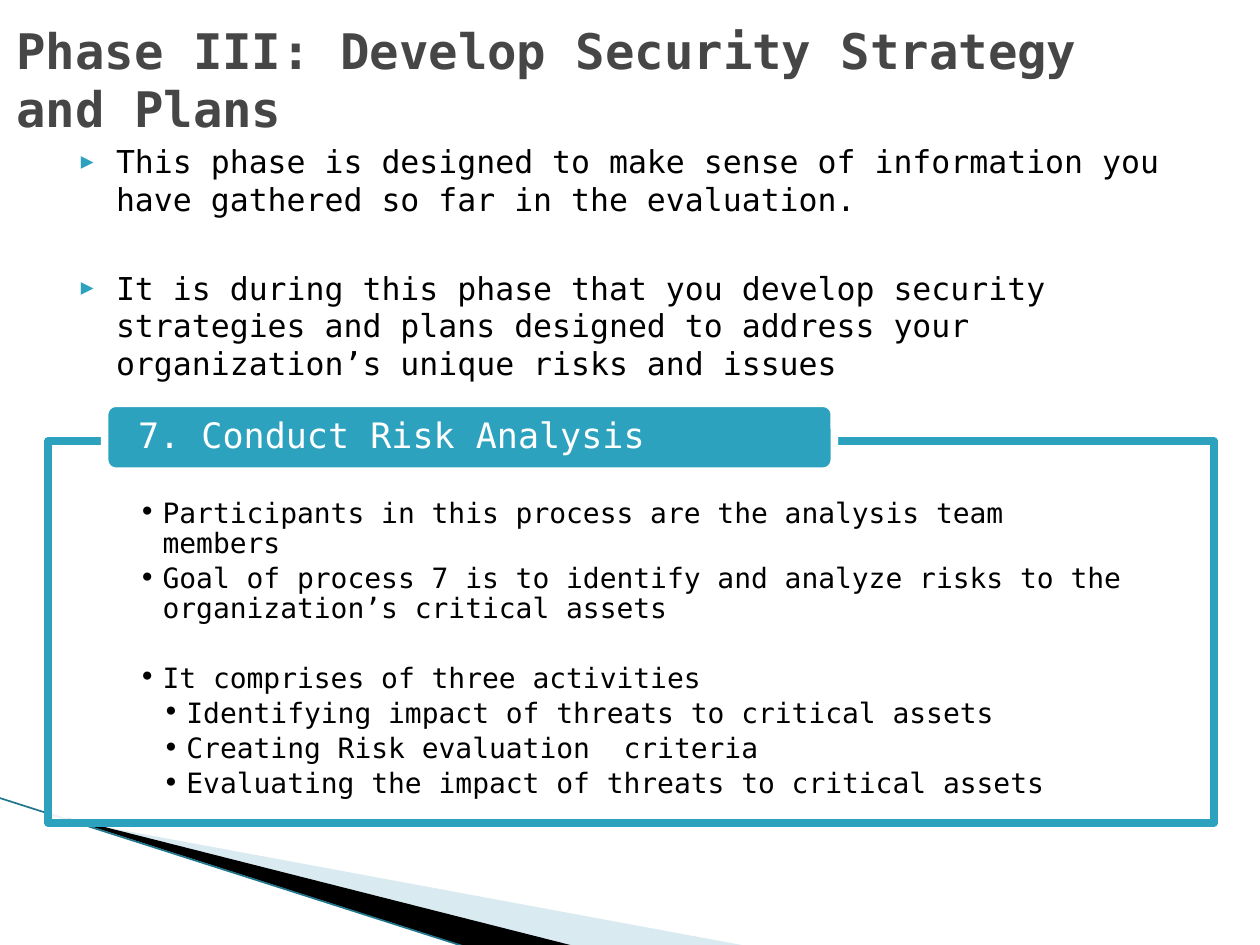
from dataclasses import dataclass, field

import pptx
import pptx.dml.color
import pptx.enum.shapes
import pptx.enum.text
import pptx.oxml.ns
import pptx.util
from lxml import etree

Cm = pptx.util.Cm
Pt = pptx.util.Pt
ANCHOR = pptx.enum.text.MSO_ANCHOR
SHAPE = pptx.enum.shapes.MSO_SHAPE


@dataclass(frozen=True)
class Theme:
    font: str = "DejaVu Sans Mono"
    accent: str = "2DA2BF"
    edge: str = "1F768C"
    pale: str = "A0CBDC"
    heading: str = "464646"
    black: str = "000000"
    white: str = "FFFFFF"
    title_size: float = 28
    label_size: float = 20
    body_size: float = 18
    detail_size: float = 16
    border: float = 4.33


THEME = Theme()


@dataclass(frozen=True)
class Frame:
    left: float
    top: float
    width: float
    height: float

    def lengths(self) -> list:
        return [Cm(n) for n in (self.left, self.top, self.width, self.height)]


@dataclass(frozen=True)
class Bullet:
    mark: str
    indent: float
    hang: float
    color: str = THEME.black
    percent: int = 100


@dataclass(frozen=True)
class Item:
    text: str
    bullet: Bullet | None = None
    spacing: dict = field(default_factory=dict)


@dataclass(frozen=True)
class Wedge:
    points: tuple
    color: str
    opacity: int = 100


ARROW = Bullet("▶", 1.02, 0.71, THEME.accent, 68)
DOT = Bullet("•", 0.48, 0.48)
SUB_DOT = Bullet("•", 0.96, 0.48)
TIGHT = {"line_spacing": 0.9, "space_after": Pt(2.8)}
SECTION_END = TIGHT | {"space_after": Pt(22.4)}

TITLE = [Item("Phase III: Develop Security Strategy and Plans")]
SUMMARY = [
    Item("This phase is designed to make sense of information you have gathered "
         "so far in the evaluation.", ARROW, {"space_before": Pt(4)}),
    Item("It is during this phase that you develop security strategies and plans "
         "designed to address your organization’s unique risks and issues",
         ARROW, {"space_before": Pt(29)}),
]
LABEL = [Item("7. Conduct Risk Analysis", None, {"line_spacing": 0.9})]
DETAILS = [
    Item("Participants in this process are the analysis team members", DOT, TIGHT),
    Item("Goal of process 7 is to identify and analyze risks to the "
         "organization’s critical assets", DOT, SECTION_END),
    Item("It comprises of three activities", DOT, TIGHT),
    Item("Identifying impact of threats to critical assets", SUB_DOT, TIGHT),
    Item("Creating Risk evaluation  criteria", SUB_DOT, TIGHT),
    Item("Evaluating the impact of threats to critical assets", SUB_DOT, TIGHT),
]
WEDGES = [
    Wedge(((1.4, 16.54), (15.11, 19.08), (11.58, 19.08)), THEME.pale, 40),
    Wedge(((1.35, 16.48), (11.61, 19.08), (9.45, 19.1), (1.37, 16.51)), THEME.black),
]


def rgb(color: str) -> pptx.dml.color.RGBColor:
    return pptx.dml.color.RGBColor.from_string(color)


def set_values(target, values: dict) -> None:
    for name, value in values.items():
        setattr(target, name, value)


def add_child(parent, tag: str, **attributes: str):
    return etree.SubElement(parent, pptx.oxml.ns.qn(tag), attributes)


def set_fill(shape, color: str, opacity: int = 100) -> None:
    """Fill a shape with one colour; opacity is a percentage."""
    shape.shadow.inherit = False
    shape.fill.solid()
    shape.fill.fore_color.rgb = rgb(color)
    if opacity < 100:
        value = shape.fill._xPr.find(".//" + pptx.oxml.ns.qn("a:srgbClr"))
        add_child(value, "a:alpha", val=str(opacity * 1000))


def set_bullet(para, bullet: Bullet) -> None:
    properties = para._p.get_or_add_pPr()
    properties.set("marL", str(Cm(bullet.indent)))
    properties.set("indent", str(-Cm(bullet.hang)))
    add_child(add_child(properties, "a:buClr"), "a:srgbClr", val=bullet.color)
    add_child(properties, "a:buSzPct", val=str(bullet.percent * 1000))
    add_child(properties, "a:buFont", typeface=THEME.font)
    add_child(properties, "a:buChar", char=bullet.mark)


def write_items(box, items: list[Item], size: float, color: str, bold: bool = False,
                anchor=ANCHOR.TOP, margins: tuple = (0.25, 0.13, 0.25, 0.13)) -> None:
    """Write one paragraph per item; margins run left, top, right, bottom."""
    frame = box.text_frame
    sides = ("margin_left", "margin_top", "margin_right", "margin_bottom")
    set_values(frame, {"word_wrap": True, "vertical_anchor": anchor}
               | {side: Cm(margin) for side, margin in zip(sides, margins)})
    for index, item in enumerate(items):
        para = frame.add_paragraph() if index else frame.paragraphs[0]
        set_values(para, {"alignment": pptx.enum.text.PP_ALIGN.LEFT} | item.spacing)
        if item.bullet:
            set_bullet(para, item.bullet)
        span = para.add_run()
        span.text = item.text
        set_values(span.font, {"name": THEME.font, "size": Pt(size), "bold": bold})
        span.font.color.rgb = rgb(color)


def add_wedge(page, wedge: Wedge) -> None:
    points = [(Cm(x), Cm(y)) for x, y in wedge.points]
    builder = page.shapes.build_freeform(*points[0])
    builder.add_line_segments(points[1:], close=True)
    shape = builder.convert_to_shape()
    set_fill(shape, wedge.color, wedge.opacity)
    shape.line.fill.background()


def add_edge(page) -> None:
    ends = [Cm(n) for n in (-0.03, 16.08, 9.42, 19.1)]
    edge = page.shapes.add_connector(pptx.enum.shapes.MSO_CONNECTOR.STRAIGHT, *ends)
    edge.line.color.rgb = rgb(THEME.edge)
    edge.line.width = Pt(0.95)
    add_child(edge._element.spPr, "a:effectLst")


def add_panel(page, kind, frame: Frame, fill: str, border: str, opacity: int = 100):
    panel = page.shapes.add_shape(kind, *frame.lengths())
    set_fill(panel, fill, opacity)
    panel.line.color.rgb = rgb(border)
    panel.line.width = Pt(THEME.border)
    return panel


def main() -> None:
    deck = pptx.Presentation()
    set_values(deck, {"slide_width": Cm(25.4), "slide_height": Cm(19.05)})
    page = deck.slides.add_slide(deck.slide_layouts[6])

    for wedge in WEDGES:
        add_wedge(page, wedge)
    add_edge(page)

    summary = page.shapes.add_textbox(*Frame(1.07, 2.74, 22.86, 12.57).lengths())
    write_items(summary, SUMMARY, THEME.body_size, THEME.black)
    title = page.shapes.add_textbox(*Frame(0.08, 0, 22.86, 3.18).lengths())
    write_items(title, TITLE, THEME.title_size, THEME.heading, bold=True,
                anchor=ANCHOR.MIDDLE)

    details = add_panel(page, SHAPE.RECTANGLE, Frame(0.97, 8.89, 23.5, 7.7),
                        THEME.white, THEME.accent, 90)
    write_items(details, DETAILS, THEME.detail_size, THEME.black,
                margins=(1.83, 1.17, 1.83, 0.3))
    label = add_panel(page, SHAPE.ROUNDED_RECTANGLE, Frame(2.11, 8.13, 14.71, 1.37),
                      THEME.accent, THEME.white)
    write_items(label, LABEL, THEME.label_size, THEME.white, anchor=ANCHOR.MIDDLE,
                margins=(0.61, 0, 0.61, 0))

    deck.save("out.pptx")


if __name__ == "__main__":
    main()
